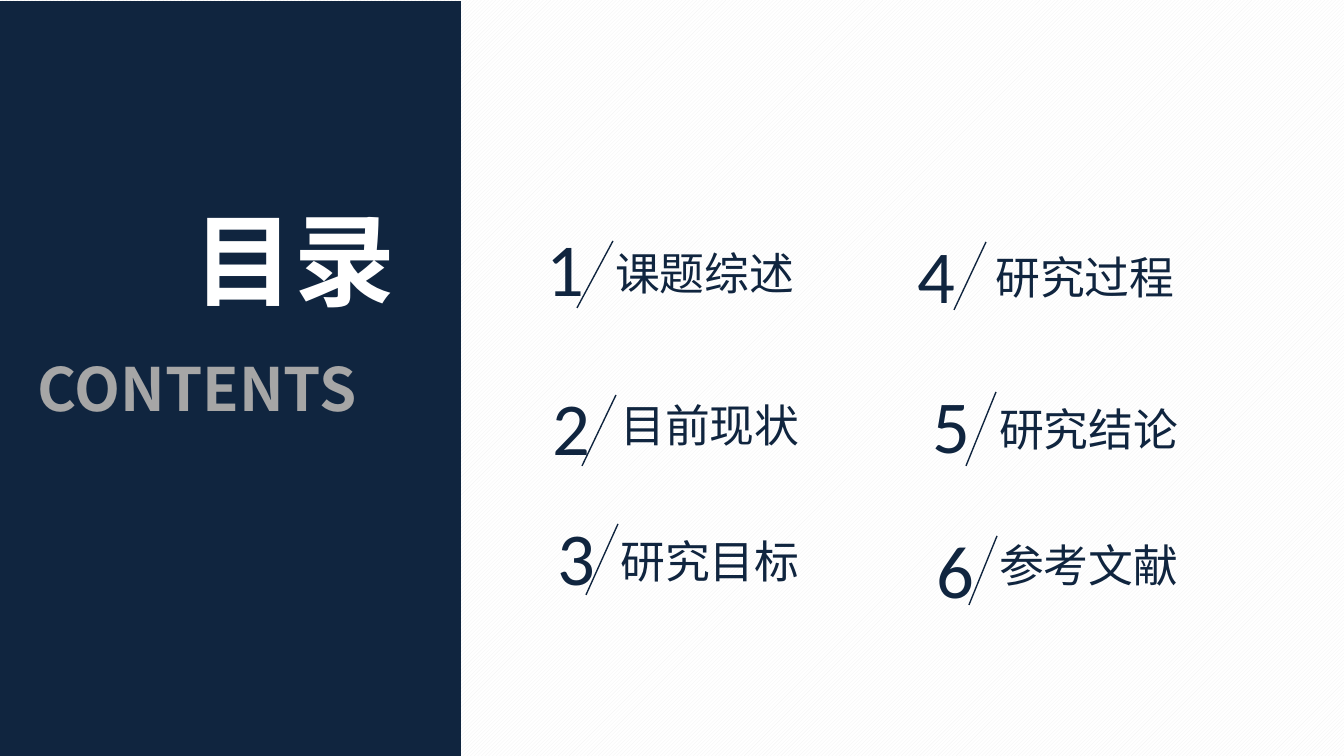
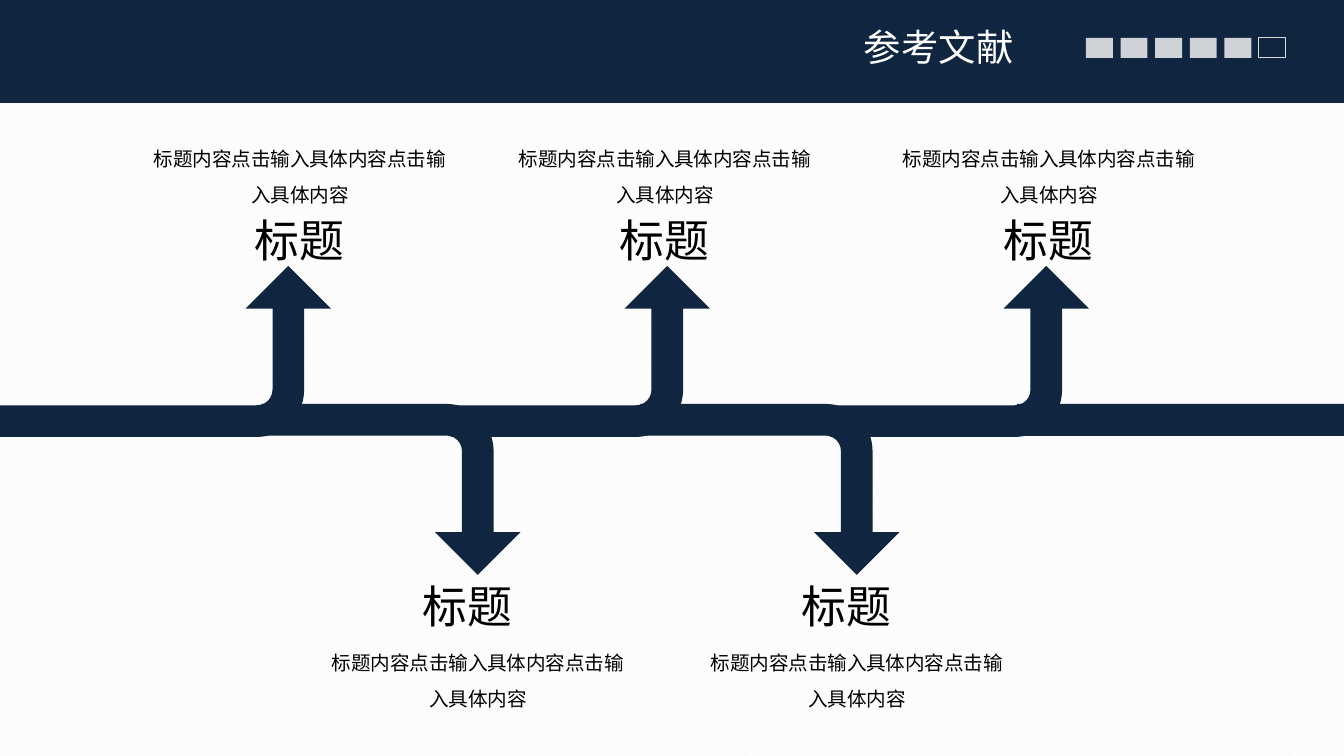
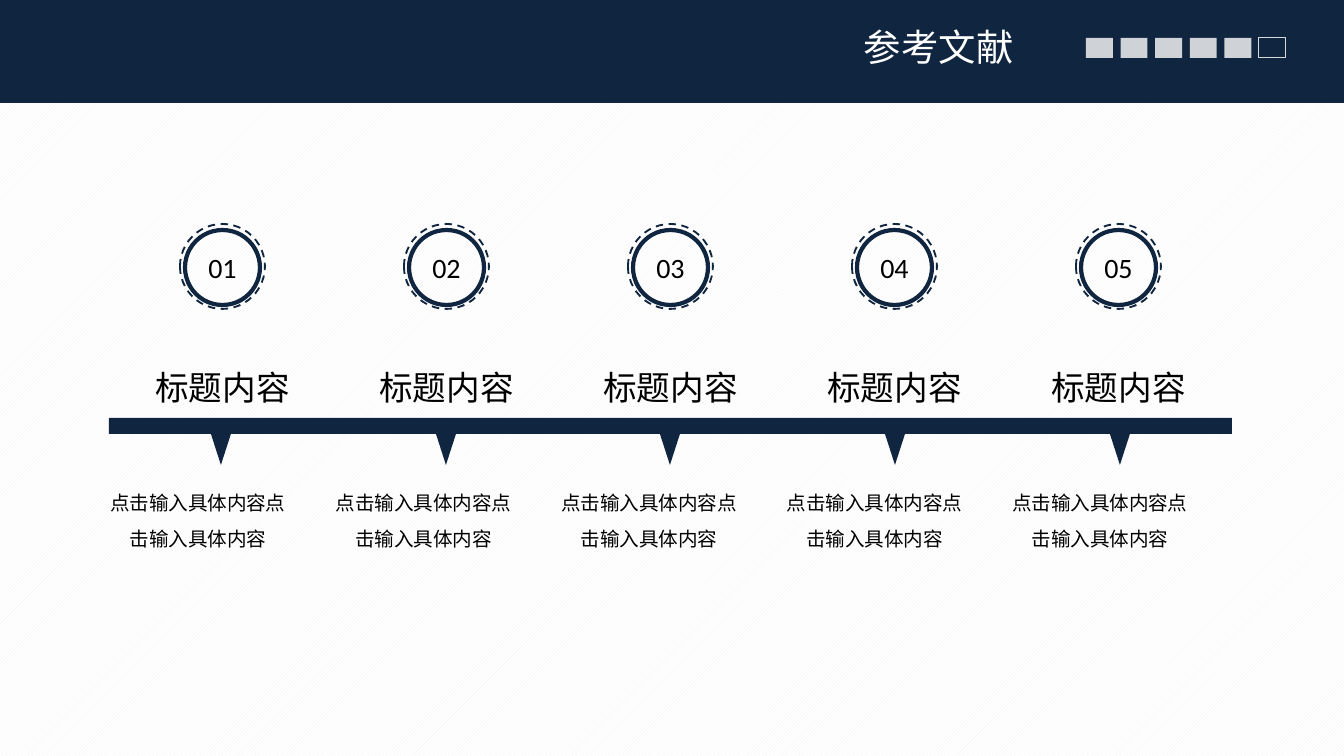
import pptx
import pptx.dml.color
import pptx.enum.dml
import pptx.enum.shapes
import pptx.enum.text
import pptx.oxml
import pptx.oxml.ns
import pptx.util

SHAPE = pptx.enum.shapes.MSO_SHAPE
ALIGN = pptx.enum.text.PP_ALIGN
ANCHOR = pptx.enum.text.MSO_ANCHOR
qn = pptx.oxml.ns.qn

PX = 914400 / 134.4
WIDTH, HEIGHT = 1344, 756
NAVY, WHITE, BLACK = "10253F", "FFFFFF", "000000"
GREY, PALE, STRIPE = "A6A6A6", "D9D9D9", "F2F2F2"
CJK, LATIN = "Noto Sans CJK SC", "Calibri"

# number, number position, slash from, slash to, label, label position
CONTENTS = [
    ("1", (532, 215), (613, 241), (577, 308), "课题综述", (602, 239)),
    ("4", (903, 222), (986, 242), (954, 310), "研究过程", (982, 243)),
    ("2", (538, 374), (616, 395), (582, 466), "目前现状", (607, 391)),
    ("5", (918, 372), (996, 392), (966, 466), "研究结论", (986, 395)),
    ("3", (543, 504), (618, 524), (586, 595), "研究目标", (607, 527)),
    ("6", (922, 517), (997, 536), (969, 605), "参考文献", (986, 531)),
]


def emu(*pixels):
    """Turn pixel lengths into EMU."""
    return [pptx.util.Emu(round(v * PX)) for v in pixels]


def rgb(value):
    """Make a colour from a hex string."""
    return pptx.dml.color.RGBColor.from_string(value)


def paint(sp, fill=None, line=None, width=1, alpha=None, dash=False):
    """Set fill, outline and transparency, and drop the shadow."""
    sp.shadow.inherit = False
    if fill:
        sp.fill.solid()
        sp.fill.fore_color.rgb = rgb(fill)
    else:
        sp.fill.background()
    if alpha:
        clr = sp.element.spPr.find(qn("a:solidFill"))[0]
        clr.append(pptx.oxml.parse_xml(
            '<a:alpha xmlns:a="http://schemas.openxmlformats.org/'
            f'drawingml/2006/main" val="{alpha * 1000}"/>'))
    if line:
        sp.line.color.rgb = rgb(line)
        sp.line.width = pptx.util.Pt(width)
        if dash:
            sp.line.dash_style = pptx.enum.dml.MSO_LINE.DASH
    else:
        sp.line.fill.background()


def add_shape(shapes, kind, box, **style):
    """Add a painted preset shape."""
    sp = shapes.add_shape(kind, *emu(*box))
    paint(sp, **style)
    return sp


def write(sp, text, size, color=BLACK, font=CJK, bold=False, align=ALIGN.LEFT,
          anchor=ANCHOR.TOP, spacing=None, wrap=True, grow=False):
    """Put one formatted paragraph into a shape."""
    tf = sp.text_frame
    tf.text = text
    tf.word_wrap = wrap
    tf.vertical_anchor = anchor
    sizes = pptx.enum.text.MSO_AUTO_SIZE
    tf.auto_size = sizes.SHAPE_TO_FIT_TEXT if grow else sizes.NONE
    p = tf.paragraphs[0]
    p.alignment = align
    p.space_before = pptx.util.Pt(0)
    if spacing:
        p.line_spacing = spacing
    f = p.runs[0].font
    f.size, f.bold, f.name = pptx.util.Pt(size), bold, font
    f.color.rgb = rgb(color)
    for latin in sp.element.iter(qn("a:latin")):
        ea = latin.makeelement(qn("a:ea"), {"typeface": font})
        latin.addnext(ea)


def add_text(shapes, box, text, size, **style):
    """Add a text box."""
    write(shapes.add_textbox(*emu(*box)), text, size, **style)


def fill_placeholder(sp, box, text, size, **style):
    """Move a placeholder and write into it."""
    sp.left, sp.top, sp.width, sp.height = emu(*box)
    write(sp, text, size, **style)


def add_line(shapes, start, end):
    """Add a thin navy line without shadow."""
    c = shapes.add_connector(pptx.enum.shapes.MSO_CONNECTOR.STRAIGHT,
                             *emu(*start, *end))
    c.line.color.rgb = rgb(NAVY)
    c.line.width = pptx.util.Pt(0.75)
    spPr = c.element.spPr
    spPr.append(spPr.makeelement(qn("a:effectLst"), {}))


def add_bent_arrow(shapes, right, length, up):
    """Add an arrow that leaves the main road and turns up or down."""
    across = 171
    top = 266 if up else 404
    # The frame is given before its quarter turn about the centre.
    left = right - (length + across) / 2
    sp = add_shape(shapes, SHAPE.BENT_ARROW,
                   (left, top + (across - length) / 2, across, length), fill=NAVY)
    for i, value in enumerate((0.185, 0.25, 0.25, 0.276)):
        sp.adjustments[i] = value
    sp.rotation = 270 if up else 90
    if up:
        sp.element.spPr.find(qn("a:xfrm")).set("flipV", "1")


def add_pointer_bar(shapes, left, right):
    """Add a bar section with a pointer below its middle."""
    mid, top, low, tip = (left + right) / 2, 418, 434, 465
    fb = shapes.build_freeform(left, top, scale=PX)
    fb.add_line_segments([(right, top), (right, low), (mid + 10, low),
                          (mid, tip), (mid - 10, low), (left, low)])
    paint(fb.convert_to_shape(), fill=NAVY)


def add_slide(prs, layout):
    """Add a slide with the striped background."""
    s = prs.slides.add_slide(layout)
    fill = s.background.fill
    fill.patterned()
    fill.pattern = pptx.enum.dml.MSO_PATTERN.LIGHT_UPWARD_DIAGONAL
    fill.fore_color.rgb = rgb(STRIPE)
    fill.back_color.rgb = rgb(WHITE)
    return s


def add_band(s):
    """Build the header band and move it to the layout of the slide."""
    parts = [add_shape(s.shapes, SHAPE.RECTANGLE, (0, 0, WIDTH, 103), fill=NAVY)]
    for i in range(6):
        style = dict(fill=WHITE, alpha=80) if i < 5 else dict(line=PALE, width=0.5)
        parts.append(add_shape(s.shapes, SHAPE.RECTANGLE,
                               (1086 + 34.6 * i, 38, 27, 20), **style))
    for i, sp in enumerate(parts):
        sp.element.nvSpPr.cNvPr.set("id", str(100 + i))
        s.slide_layout.shapes.element.append(sp.element)


def add_header(s):
    """Write the section title into the header band."""
    fill_placeholder(s.shapes.title, (477, 17, 550, 67), "参考文献", 20,
                     color=WHITE, align=ALIGN.RIGHT)


def build_contents(s):
    """Table of contents beside a navy panel."""
    panel = add_shape(s.shapes, SHAPE.RECTANGLE, (0, 1, 461, 755), fill=NAVY)
    s.shapes.element.insert(2, panel.element)
    fill_placeholder(s.placeholders[1], (24, 345, 379, 86), "CONTENTS", 32,
                     color=GREY, bold=True, grow=True)
    fill_placeholder(s.shapes.title, (180, 191, 231, 136), "目录", 54,
                     color=WHITE, bold=True, wrap=False, grow=True)
    style = dict(color=NAVY, wrap=False, grow=True)
    for number, at, start, end, label, label_at in CONTENTS:
        add_text(s.shapes, (*label_at, 208, 67), label, 24, **style)
        group = s.shapes.add_group_shape()
        add_text(group.shapes, (*at, 66, 103), number, 40, font=LATIN,
                 align=ALIGN.CENTER, **style)
        add_line(group.shapes, start, end)


def build_road(s):
    """Road with arrows turning up and down to captions."""
    add_header(s)
    group = s.shapes.add_group_shape()
    for i in range(5):
        add_bent_arrow(group.shapes, 331 + 189.5 * i, 259 if i else 331,
                       up=i % 2 == 0)
    add_shape(group.shapes, SHAPE.RECTANGLE, (1017, 404, 327, 32), fill=NAVY)
    # body left, body top, heading indent, heading top
    above = [(x, 129, 40, 204) for x in (138, 503, 887)]
    below = [(x, 633, 30, 570) for x in (316, 695)]
    for left, top, indent, heading_top in above + below:
        add_text(s.shapes, (left, top, 324, 109),
                 "标题内容点击输入具体内容点击输入具体内容", 10.5,
                 align=ALIGN.CENTER, spacing=1.5)
        add_text(s.shapes, (left + indent, heading_top, 243, 71), "标题", 24,
                 align=ALIGN.CENTER, anchor=ANCHOR.MIDDLE)


def build_steps(s):
    """Five numbered steps along a bar."""
    add_header(s)
    for i in range(5):
        x = 224 * i
        add_pointer_bar(s.shapes, 109 + 224.6 * i, 109 + 224.6 * (i + 1))
        sp = add_shape(s.shapes, SHAPE.OVAL, (185 + x, 230, 75, 75),
                       line=NAVY, width=2.25)
        sp.text_frame.margin_left = sp.text_frame.margin_right = 0
        write(sp, f"{i + 1:02}", 15, font=LATIN, align=ALIGN.CENTER,
              anchor=ANCHOR.MIDDLE)
        add_shape(s.shapes, SHAPE.OVAL, (180 + x, 224, 85, 85),
                  line=NAVY, dash=True)
        add_text(s.shapes, (90 + x, 337, 265, 101), "标题内容", 18,
                 align=ALIGN.CENTER, anchor=ANCHOR.MIDDLE)
        add_text(s.shapes, (94 + 225.5 * i, 473, 208, 109),
                 "点击输入具体内容点击输入具体内容", 10.5,
                 align=ALIGN.CENTER, spacing=1.5)


def main():
    """Build the three slides and save them."""
    prs = pptx.Presentation()
    prs.slide_width, prs.slide_height = emu(WIDTH, HEIGHT)
    cover, headed = prs.slide_layouts[0], prs.slide_layouts[5]
    build_contents(add_slide(prs, cover))
    road = add_slide(prs, headed)
    add_band(road)
    build_road(road)
    build_steps(add_slide(prs, headed))
    prs.save("out.pptx")


main()
